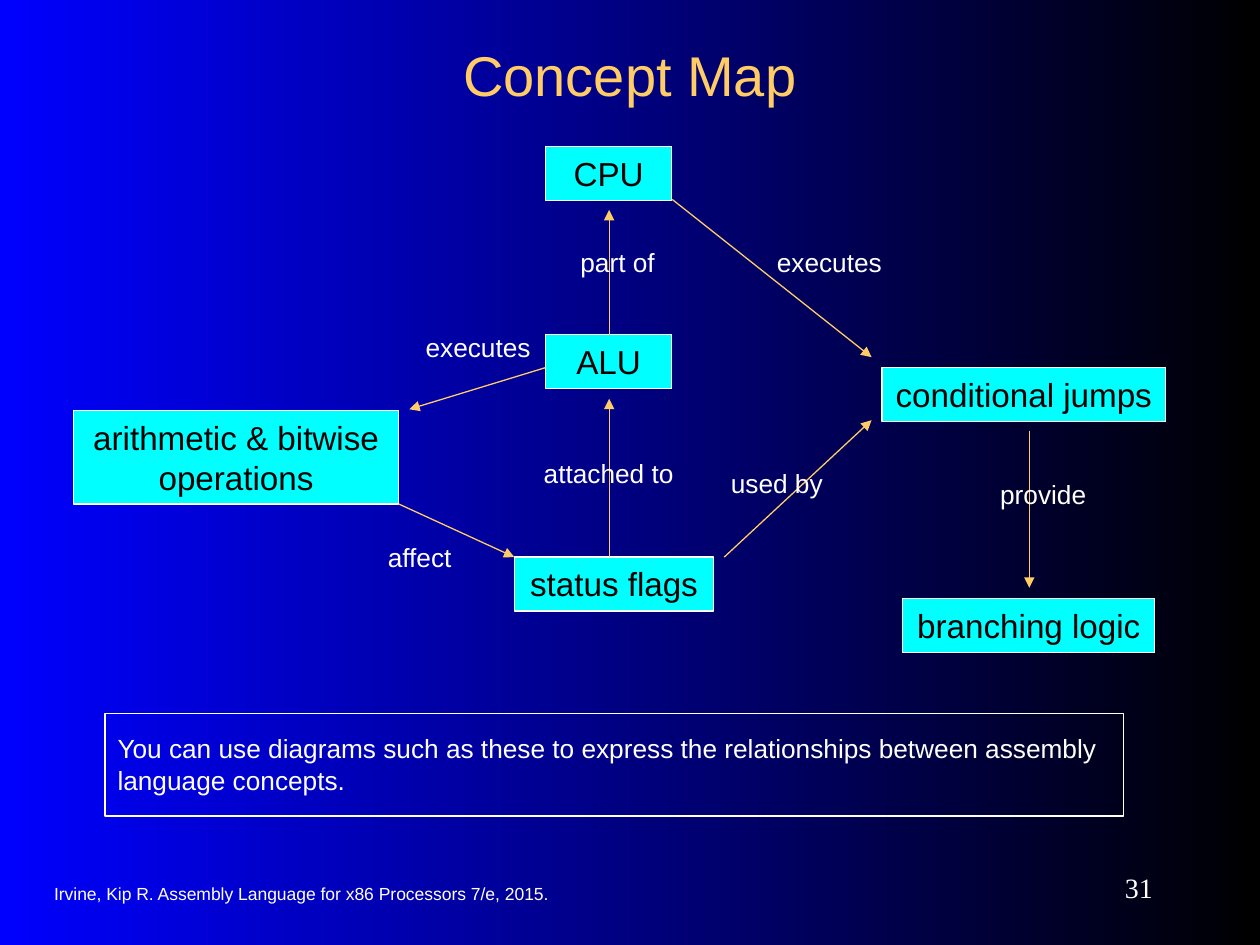
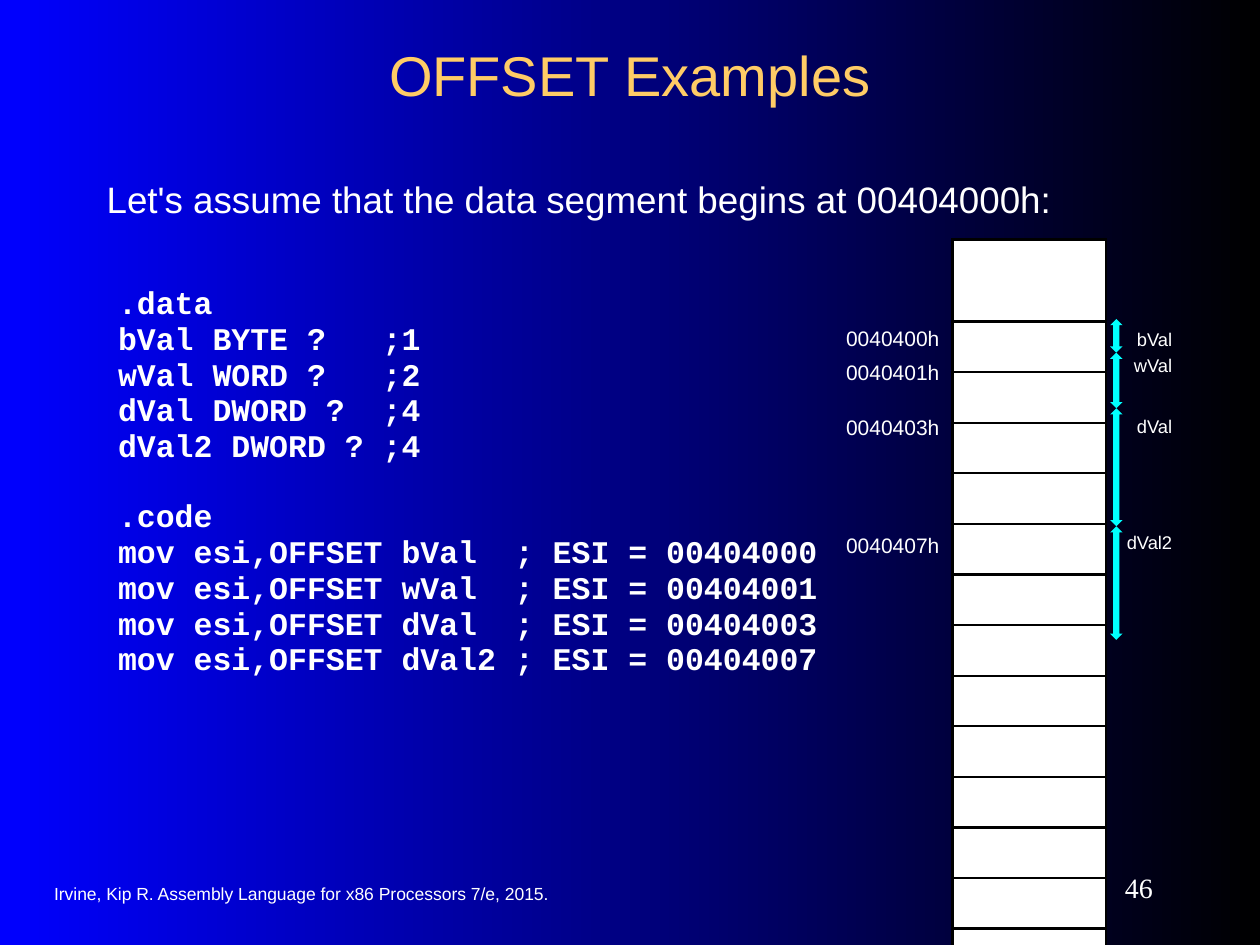
from lxml.etree import SubElement
from pptx import Presentation
from pptx.dml.color import RGBColor
from pptx.enum.shapes import MSO_CONNECTOR, MSO_SHAPE
from pptx.enum.text import MSO_ANCHOR, PP_ALIGN
from pptx.oxml import parse_xml
from pptx.oxml.ns import nsdecls, qn
from pptx.util import Cm, Pt

WHITE, BLACK, CYAN, GOLD = "FFFFFF", "000000", "00FFFF", "FFCC66"
BACKGROUND = ("0000FF", "000000")
FOOTER = "Irvine, Kip R. Assembly Language for x86 Processors 7/e, 2015."

NARROW, TALL = 0.13, 0.38
TITLE = {"name": "Arial", "size": Pt(32)}
NODE = {"name": "Arial", "size": Pt(19)}
LABEL = {"name": "Arial", "size": Pt(15)}
LEAD = {"name": "Arial", "size": Pt(21)}
ADDRESS = {"name": "Arial", "size": Pt(12)}
VARIABLE = {"name": "Arial", "size": Pt(10.5)}
SOURCE = {"name": "Arial", "size": Pt(10)}
NUMBER = {"name": "Times New Roman", "size": Pt(16)}
CODE = {"name": "Courier New", "size": Pt(18), "bold": True}

NODE_HEIGHT = 1.09
NODES = [
    ("status flags", 10.37, 11.23, 4.02, NODE_HEIGHT),
    ("ALU", 11, 6.75, 2.54, NODE_HEIGHT),
    ("conditional jumps", 17.78, 7.41, 5.72, NODE_HEIGHT),
    ("branching logic", 18.2, 12.07, 5.08, NODE_HEIGHT),
    ("arithmetic & bitwise operations", 1.48, 8.28, 6.56, 1.88),
    ("CPU", 11, 2.96, 2.54, NODE_HEIGHT),
]
ARROWS = [
    (12.28, 6.75, 12.28, 4.23),
    (8.04, 10.16, 10.37, 11.23),
    (12.28, 11.23, 12.28, 8.04),
    (14.6, 11.23, 17.57, 8.47),
    (20.75, 8.68, 20.75, 11.85),
    (13.55, 4.02, 17.57, 7.2),
    (11, 7.41, 8.25, 8.25),
]
RELATIONS = [
    ("part of", 12.45, 4.65),
    ("used by", 15.66, 9.1),
    ("provide", 21.03, 9.32),
    ("attached to", 12.27, 8.89),
    ("affect", 8.46, 10.6),
    ("executes", 16.72, 4.65),
    ("executes", 9.64, 6.35),
]
DATA_LINES = [
    ".data",
    "bVal BYTE ?   ;1",
    "wVal WORD ?   ;2",
    "dVal DWORD ?  ;4",
    "dVal2 DWORD ? ;4",
]
CODE_LINES = [
    ".code",
    "mov esi,OFFSET bVal  ; ESI = 00404000",
    "mov esi,OFFSET wVal  ; ESI = 00404001",
    "mov esi,OFFSET dVal  ; ESI = 00404003",
    "mov esi,OFFSET dVal2 ; ESI = 00404007",
]
VARIABLES = [
    ("0040400h", "bVal", 6.43, 6.48),
    ("0040401h", "wVal", 7.11, 7.01),
    ("0040403h", "dVal", 8.23, 8.23),
    ("0040407h", "dVal2", 10.61, 10.57),
]
VARIABLES_END = 12.9
CELL_HEIGHTS = [1.65] + [1.02] * 15 + [1.65]


def color(value):
    return RGBColor.from_string(value)


def set_format(target, values):
    for name, value in values.items():
        setattr(target, name, value)


def write_text(shape, lines, font, text_color=WHITE, align=PP_ALIGN.LEFT,
               anchor=MSO_ANCHOR.TOP, inset=NARROW, side=0.25):
    frame = shape.text_frame
    set_format(frame, {
        "word_wrap": True, "vertical_anchor": anchor,
        "margin_left": Cm(side), "margin_right": Cm(side),
        "margin_top": Cm(inset), "margin_bottom": Cm(inset),
    })
    frame.text = "\n".join(lines)
    for paragraph in frame.paragraphs:
        paragraph.alignment = align
        for run in paragraph.runs:
            set_format(run.font, font)
            run.font.color.rgb = color(text_color)
    return frame


def add_text(slide, box, text, font, **options):
    shape = slide.shapes.add_textbox(*map(Cm, box))
    return write_text(shape, text.split("\n"), font, **options)


def add_box(slide, kind, box, fill=None, line=None):
    shape = slide.shapes.add_shape(kind, *map(Cm, box))
    shape.shadow.inherit = False
    if fill:
        shape.fill.solid()
        shape.fill.fore_color.rgb = color(fill)
    else:
        shape.fill.background()
    if line:
        shape.line.color.rgb = color(line)
        shape.line.width = Pt(0.75)
    else:
        shape.line.fill.background()
    return shape


def add_arrow(slide, ends):
    arrow = slide.shapes.add_connector(MSO_CONNECTOR.STRAIGHT, *map(Cm, ends))
    arrow.line.color.rgb = color(GOLD)
    arrow.line.width = Pt(0.75)
    SubElement(arrow.line._get_or_add_ln(), qn("a:tailEnd"), type="triangle")
    SubElement(arrow._element.spPr, qn("a:effectLst"))


def add_memory_column(slide, left, top, width):
    frame = slide.shapes.add_table(len(CELL_HEIGHTS), 1, Cm(left), Cm(top),
                                   Cm(width), Cm(sum(CELL_HEIGHTS)))
    table = frame.table
    set_format(table, {"first_row": False, "horz_banding": False})
    for index, height in enumerate(CELL_HEIGHTS):
        table.rows[index].height = Cm(height)
        cell = table.cell(index, 0)
        cell.fill.solid()
        cell.fill.fore_color.rgb = color(WHITE)
        properties = cell._tc.get_or_add_tcPr()
        for position, side in enumerate("LRTB"):
            properties.insert(position, parse_xml(
                f'<a:ln{side} {nsdecls("a")} w="{Pt(1.5)}"><a:solidFill>'
                f'<a:srgbClr val="{BLACK}"/></a:solidFill></a:ln{side}>'))


def add_base_slide(presentation, title, number):
    slide = presentation.slides.add_slide(presentation.slide_layouts[6])
    fill = slide.background.fill
    fill.gradient()
    fill.gradient_angle = 0
    for stop, value in zip(fill.gradient_stops, BACKGROUND):
        stop.color.rgb = color(value)
    middle = MSO_ANCHOR.MIDDLE
    add_text(slide, (0.84, 17.6, 13.34, 0.84), FOOTER, SOURCE, anchor=middle)
    add_text(slide, (20.75, 17.35, 2.74, 1.07), str(number), NUMBER,
             align=PP_ALIGN.RIGHT, anchor=middle)
    add_text(slide, (1.9, 0.64, 21.6, 1.7), title, TITLE, text_color=GOLD,
             align=PP_ALIGN.CENTER, anchor=middle)
    return slide


def build_concept_map(presentation):
    slide = add_base_slide(presentation, "Concept Map", 31)
    for name, *box in NODES:
        node = add_box(slide, MSO_SHAPE.RECTANGLE, box, CYAN, WHITE)
        write_text(node, [name], NODE, text_color=BLACK,
                   align=PP_ALIGN.CENTER, side=NARROW)
    for ends in ARROWS:
        add_arrow(slide, ends)
    width = 4
    for relation, center, top in RELATIONS:
        add_text(slide, (center - width / 2, top, width, 1.4), relation, LABEL,
                 align=PP_ALIGN.CENTER, inset=TALL)
    note = add_box(slide, MSO_SHAPE.RECTANGLE, (2.12, 14.39, 20.53, 2.06),
                   line=WHITE)
    write_text(note, ["You can use diagrams such as these to express the "
                      "relationships between assembly language concepts."],
               LABEL, inset=TALL)


def build_offset_examples(presentation):
    slide = add_base_slide(presentation, "OFFSET Examples", 46)
    code = add_text(slide, (2.13, 5.66, 17.98, 9.09),
                    "\n".join(DATA_LINES + CODE_LINES), CODE, inset=TALL)
    for index, paragraph in enumerate(code.paragraphs):
        paragraph.line_spacing = 0.5
        if index:
            starts_code = index == len(DATA_LINES)
            paragraph.space_before = Pt(29.4 if starts_code else 9.6)
    add_text(slide, (1.9, 3.18, 21.39, 1.65),
             "Let's assume that the data segment begins at 00404000h:",
             LEAD, inset=TALL)
    add_memory_column(slide, 19.2, 4.83, 3.1)
    tops = [variable[2] for variable in VARIABLES] + [VARIABLES_END]
    for index, (address, name, top, name_top) in enumerate(VARIABLES):
        add_text(slide, (15.45, top, 3.74, 0.76), address, ADDRESS,
                 align=PP_ALIGN.RIGHT)
        add_box(slide, MSO_SHAPE.UP_DOWN_ARROW,
                (22.38, top, 0.25, tops[index + 1] - top), CYAN)
        add_text(slide, (21.7, name_top, 2.18, 0.71), name, VARIABLE,
                 align=PP_ALIGN.RIGHT)


def main():
    presentation = Presentation()
    set_format(presentation, {"slide_width": Cm(25.4), "slide_height": Cm(19.05)})
    build_concept_map(presentation)
    build_offset_examples(presentation)
    presentation.save("out.pptx")


if __name__ == "__main__":
    main()
